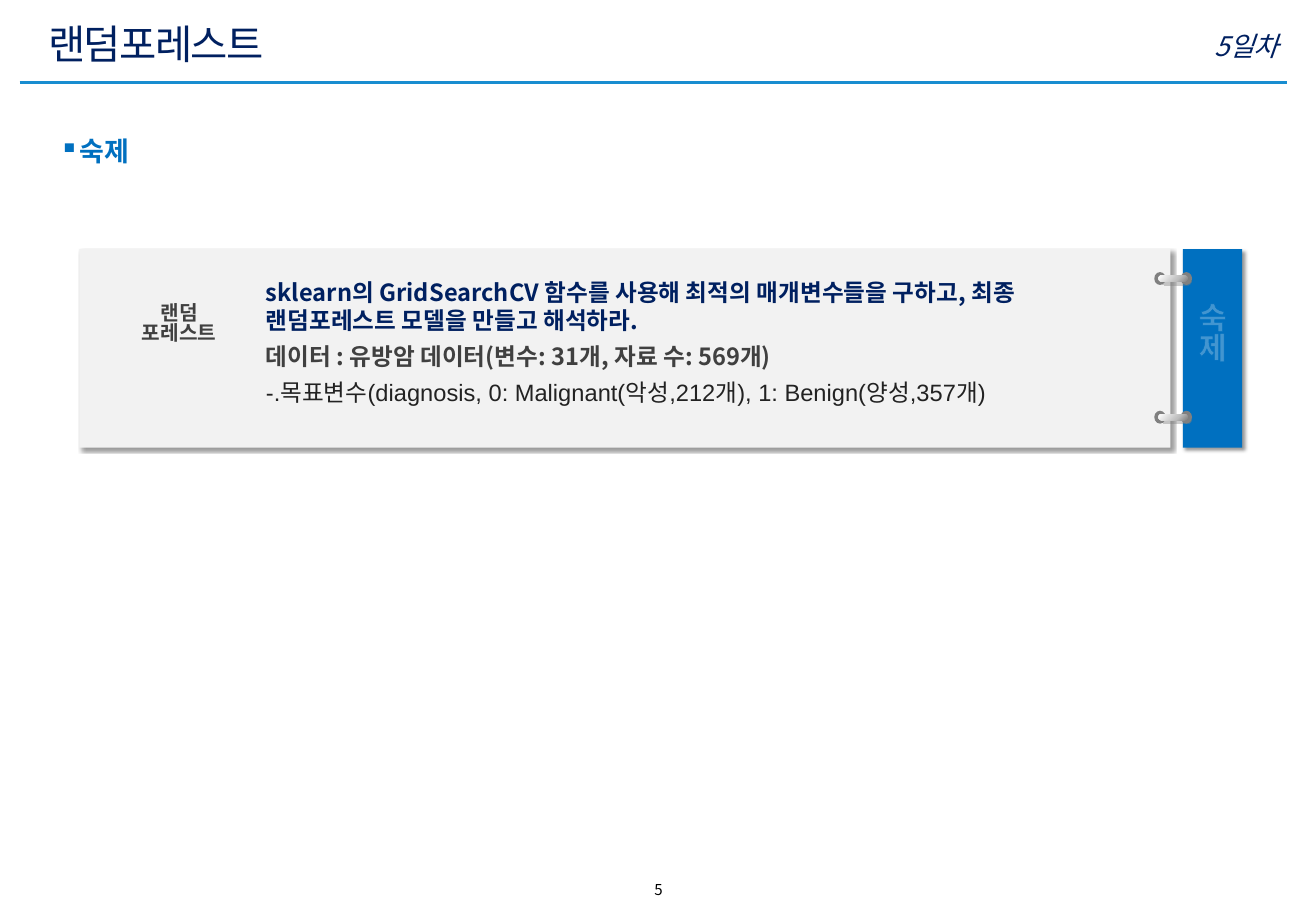
from dataclasses import dataclass

from lxml import etree
from pptx import Presentation
from pptx import util as u
from pptx.dml.color import RGBColor
from pptx.enum import shapes, text
from pptx.oxml import ns, parse_xml


@dataclass(frozen=True)
class Theme:
    """Colours, type sizes and fonts of the slide."""
    font: str = "Noto Sans CJK KR"
    latin: str = "Arial"
    navy: str = "002060"
    blue: str = "0070C0"
    rule: str = "188DD0"
    card: str = "F2F2F2"
    ring: str = "808080"
    silver: str = "BFBFBF"
    white: str = "FFFFFF"
    dark: str = "404040"
    ink: str = "222222"
    black: str = "000000"
    title: float = 24
    tab: float = 18
    heading: float = 16
    body: float = 14
    label: float = 12
    number: float = 8.9


THEME = Theme()
NAMESPACE = ns.nsdecls("a")


def style(paragraph, size, color, bold=False, italic=False, latin=THEME.font):
    """Format every run of a paragraph."""
    for run in paragraph.runs:
        run.font.size = u.Pt(size)
        run.font.bold = bold
        run.font.italic = italic
        run.font.color.rgb = RGBColor.from_string(color)
        run.font.name = latin
        etree.SubElement(run.font._element, ns.qn("a:ea"), typeface=THEME.font)


def add_text(parent, box, lines, align=text.PP_ALIGN.LEFT,
             anchor=text.MSO_ANCHOR.TOP, wrap=True, margin=0.13):
    """Add a text box and return its paragraphs."""
    shape = parent.shapes.add_textbox(*map(u.Cm, box))
    frame = shape.text_frame
    frame.text = "\n".join(lines)
    frame.word_wrap = wrap
    frame.vertical_anchor = anchor
    frame.margin_top = frame.margin_bottom = u.Cm(margin)
    for paragraph in frame.paragraphs:
        paragraph.alignment = align
    return frame.paragraphs


def add_block(parent, kind, box, color):
    """Add a filled preset shape without a line."""
    shape = parent.shapes.add_shape(kind, *map(u.Cm, box))
    shape.shadow.inherit = False
    shape.fill.solid()
    shape.fill.fore_color.rgb = RGBColor.from_string(color)
    shape.line.fill.background()
    return shape


def add_shadow(shape, color, blur, distance):
    """Give a shape a soft shadow towards the lower right."""
    effects = shape._element.spPr.find(ns.qn("a:effectLst"))
    effects.append(parse_xml(
        f'<a:outerShdw {NAMESPACE} blurRad="{u.Pt(blur)}" dist="{u.Pt(distance)}" '
        f'dir="2700000" algn="tl" rotWithShape="0"><a:srgbClr val="{color}">'
        '<a:alpha val="40000"/></a:srgbClr></a:outerShdw>'))


def add_header(slide, box):
    """Place the title, the day and the rule below them."""
    left, top, width, height = box
    title, = add_text(slide, (left + 0.35, top, 21.6, 1.27), ["랜덤포레스트"],
                      anchor=text.MSO_ANCHOR.MIDDLE)
    style(title, THEME.title, THEME.navy)
    title.runs[0].font._element.set("spc", "-100")
    day, = add_text(slide, (left + width - 10.26, top + 0.33, 10.34, 0.76), ["5일차"],
                    text.PP_ALIGN.RIGHT, margin=0)
    style(day, THEME.heading, THEME.navy, italic=True)
    ends = (left, top + height, left + width, top + height)
    rule = slide.shapes.add_connector(shapes.MSO_CONNECTOR.STRAIGHT, *map(u.Cm, ends))
    rule.line.color.rgb = RGBColor.from_string(THEME.rule)
    rule.line.width = u.Pt(2)
    etree.SubElement(rule._element.spPr, ns.qn("a:effectLst"))


def add_heading(slide, box):
    """Place the bulleted section heading."""
    heading, = add_text(slide, box, ["숙제"])
    heading.line_spacing = 1.1
    properties = heading._p.get_or_add_pPr()
    properties.set("marL", str(u.Cm(0.41)))
    properties.set("indent", str(u.Cm(-0.41)))
    color = etree.SubElement(properties, ns.qn("a:buClr"))
    etree.SubElement(color, ns.qn("a:srgbClr"), val=THEME.blue)
    etree.SubElement(properties, ns.qn("a:buChar"), char="▪")
    style(heading, THEME.heading, THEME.blue, bold=True)


def add_ring(group, box):
    """Place a binder ring: two holes joined by a metal bar."""
    left, top, width, height = box
    hole = 0.24
    for offset in (0, width - hole):
        add_block(group, shapes.MSO_SHAPE.OVAL, (left + offset, top, hole, height), THEME.ring)
    bar = add_block(group, shapes.MSO_SHAPE.ROUNDED_RECTANGLE,
                    (left + 0.09, top + 0.07, width - 0.18, 0.13), THEME.ring)
    bar.adjustments[0] = 0.5
    stops = ((0, THEME.ring), (35, THEME.silver), (100, THEME.white))
    marks = "".join(f'<a:gs pos="{place * 1000}"><a:srgbClr val="{color}"/></a:gs>'
                    for place, color in stops)
    properties = bar._element.spPr
    properties.replace(properties.find(ns.qn("a:solidFill")), parse_xml(
        f'<a:gradFill {NAMESPACE}><a:gsLst>{marks}</a:gsLst>'
        '<a:lin ang="13500000" scaled="0"/></a:gradFill>'))
    add_shadow(bar, THEME.ring, 0, 3)


def add_homework(slide, box):
    """Place the homework card with its tab, rings and wording."""
    left, top, width, height = box
    group = slide.shapes.add_group_shape()
    tab_width = 1.24
    tab_left = left + width - tab_width
    for start, extent, color in ((left, width - tab_width - 0.26, THEME.card),
                                 (tab_left, tab_width, THEME.blue)):
        block = add_block(group, shapes.MSO_SHAPE.RECTANGLE, (start, top, extent, height), color)
        add_shadow(block, THEME.black, 2, 2)
    for offset in (0.48, 3.38):
        add_ring(group, (tab_left - 0.6, top + offset, 0.79, 0.27))

    center = text.PP_ALIGN.CENTER
    for paragraph in add_text(group, (tab_left + 0.06, top + 1.04, 1.12, 2.26),
                              ["숙", "제"], center, wrap=False):
        paragraph.line_spacing = 0.82
        style(paragraph, THEME.tab, THEME.white, bold=True)
        paragraph.runs[0].font._element.insert(0, parse_xml(
            f'<a:ln {NAMESPACE} w="{u.Pt(0.75)}"><a:solidFill><a:srgbClr val="{THEME.blue}">'
            '<a:alpha val="26000"/></a:srgbClr></a:solidFill></a:ln>'))
    for paragraph in add_text(group, (left + 1.03, top + 1.04, 2.11, 1.63),
                              ["랜덤", "포레스트"], center, wrap=False):
        paragraph.line_spacing = 0.82
        style(paragraph, THEME.label, THEME.dark, bold=True)

    task, data, target = add_text(group, (left + 3.65, top + 0.5, 18.62, 4.29), [
        "sklearn의 GridSearchCV 함수를 사용해 최적의 매개변수들을 구하고, 최종 랜덤포레스트 모델을 만들고 해석하라.",
        "데이터 : 유방암 데이터(변수: 31개, 자료 수: 569개)",
        "-.목표변수(diagnosis, 0: Malignant(악성,212개), 1: Benign(양성,357개)"])
    for paragraph in (task, data, target):
        paragraph.line_spacing = 0.98
    for paragraph in (data, target):
        paragraph.space_before = u.Pt(5)
    style(task, THEME.body, THEME.navy, bold=True)
    style(data, THEME.body, THEME.dark, bold=True)
    style(target, THEME.body, THEME.ink, latin=THEME.latin)


def add_footer(slide, box):
    """Place the slide number."""
    number, = add_text(slide, box, ["5"], text.PP_ALIGN.CENTER, text.MSO_ANCHOR.MIDDLE, margin=0)
    style(number, THEME.number, THEME.black)


def main():
    """Build and save the slide."""
    presentation = Presentation()
    presentation.slide_width = u.Cm(27.51)
    presentation.slide_height = u.Cm(19.05)
    slide = presentation.slides.add_slide(presentation.slide_layouts[6])
    add_header(slide, (0.41, 0.28, 26.49, 1.45))
    add_heading(slide, (0.99, 2.62, 24.94, 1.24))
    add_homework(slide, (1.66, 5.21, 24.31, 4.15))
    add_footer(slide, (11.15, 18.29, 5.23, 0.64))
    presentation.save("out.pptx")


if __name__ == "__main__":
    main()
